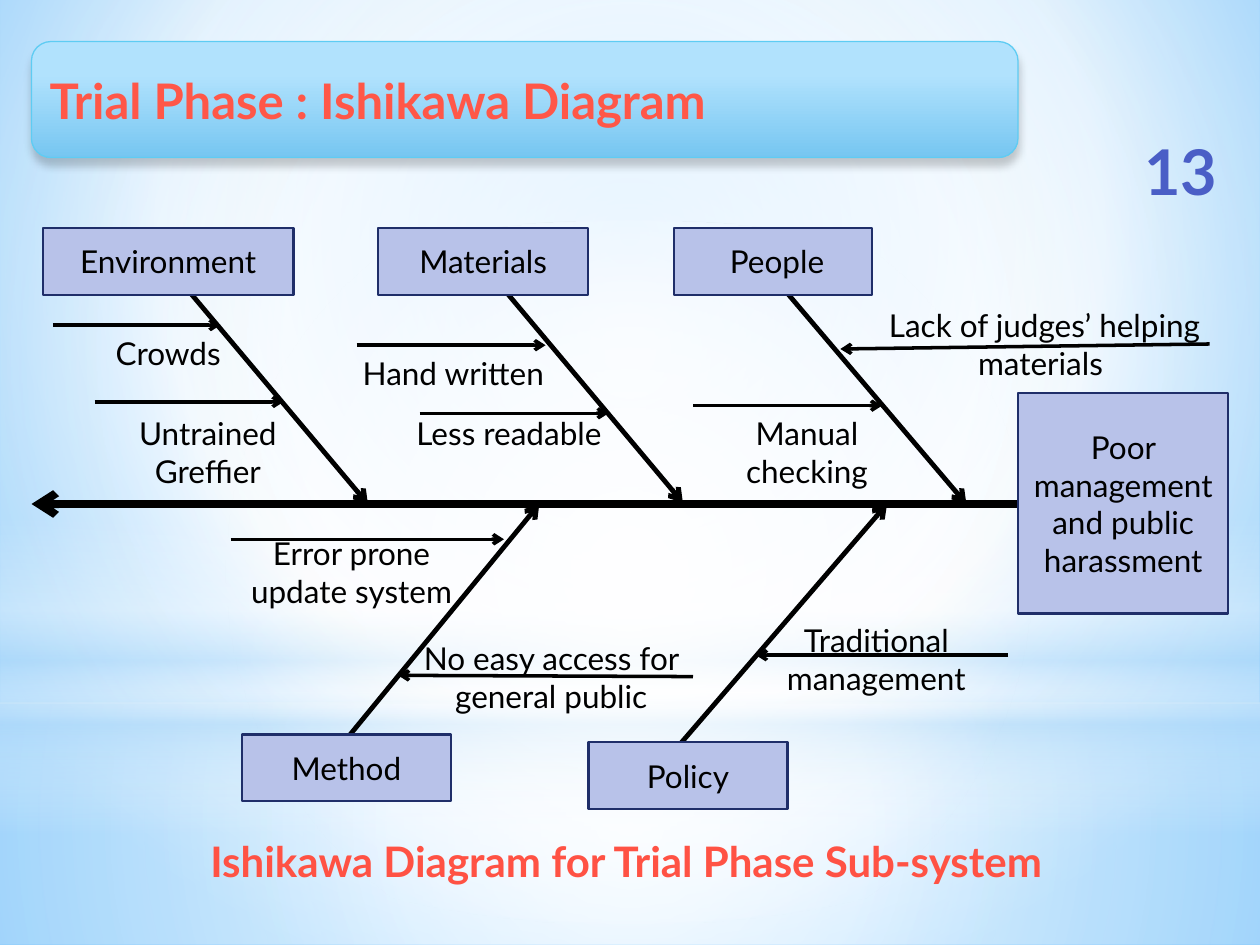
"""Build the Ishikawa diagram slide for the trial phase."""
from lxml import etree
from pptx import Presentation, util as u
from pptx.dml.color import RGBColor
from pptx.enum import shapes, text
from pptx.oxml.ns import qn

BLACK = "000000"
SKY = "B4DCFA"
WHITE = "FFFFFF"
CENTRE = (50, 50, 50, 50)
Preset = shapes.MSO_SHAPE


def write(words, at, preset=None, fill=None, line=None, width=1.25, size=18, color=BLACK,
          bold=False, align=text.PP_ALIGN.CENTER, anchor=text.MSO_ANCHOR.TOP, wrap=True):
    place = [u.Inches(value) for value in at]
    if preset is None:
        part = slide.shapes.add_textbox(*place)
    else:
        part = slide.shapes.add_shape(preset, *place)
        part.shadow.inherit = False
        part.fill.solid()
        if fill:
            part.fill.fore_color.rgb = RGBColor.from_string(fill)
        if line:
            part.line.color.rgb = RGBColor.from_string(line)
            part.line.width = u.Pt(width)
        else:
            part.line.fill.background()
    frame = part.text_frame
    frame.word_wrap = wrap
    frame.vertical_anchor = anchor
    if words:
        frame.text = words
    for paragraph in frame.paragraphs:
        paragraph.alignment = align
        for run in paragraph.runs:
            run.font.name = "Lato"
            run.font.size = u.Pt(size)
            run.font.bold = bold
            run.font.color.rgb = RGBColor.from_string(color)
    return part


def gradient(properties, stops, focus=None):
    blend = etree.Element(qn("a:gradFill"), rotWithShape="1")
    stop_list = etree.SubElement(blend, qn("a:gsLst"))
    for position, color, opacity in stops:
        stop = etree.SubElement(stop_list, qn("a:gs"), pos=str(position * 1000))
        tint = etree.SubElement(stop, qn("a:srgbClr"), val=color)
        if opacity < 100:
            etree.SubElement(tint, qn("a:alpha"), val=str(opacity * 1000))
    if focus:
        circle = etree.SubElement(blend, qn("a:path"))
        circle.set("path", "circle")
        edges = {side: str(value * 1000) for side, value in zip("ltrb", focus)}
        etree.SubElement(circle, qn("a:fillToRect"), **edges)
    else:
        etree.SubElement(blend, qn("a:lin"), ang="5400000", scaled="0")
    properties.replace(properties.find(qn("a:solidFill")), blend)


deck = Presentation()
deck.slide_width, deck.slide_height = u.Inches(10), u.Inches(7.5)
slide = deck.slides.add_slide(deck.slide_layouts[6])

slide.background.fill.solid()
gradient(slide.element.find(".//" + qn("p:bgPr")),
         [(0, "9ED5FF", 100), (60, WHITE, 100), (100, "5BB9FF", 100)], (20, 10, 20, 60))

glows = [
    (Preset.RECTANGLE, (0, 5.58, 10, 1.92), [(0, WHITE, 91), (37, WHITE, 76), (100, SKY, 79)], CENTRE),
    (Preset.RECTANGLE, (0, 0, 10, 5.58), [(0, WHITE, 89), (48, WHITE, 62), (100, SKY, 79)], CENTRE),
    (Preset.RECTANGLE, (0, 4.12, 10, 2.5),
     [(0, WHITE, 0), (29, WHITE, 30), (45, SKY, 40), (55, WHITE, 26), (65, SKY, 60), (100, WHITE, 0)], None),
    (Preset.OVAL, (0, 1.75, 10, 5.58), [(0, WHITE, 100), (56, WHITE, 0)], CENTRE),
]
for preset, at, stops, focus in glows:
    glow = write("", at, preset)
    gradient(glow.element.spPr, stops, focus)

spine = [(0.49, 4, 8.57, 4, 4.5, False), (0.67, 4, 0.25, 4, 4.5, True)]
ribs = [(*ends, 2.75, True) for ends in (
    (5.92, 1.94, 7.67, 4), (3.7, 1.94, 5.42, 3.99), (1.33, 2.11, 2.92, 4),
    (5.17, 6.17, 7.04, 4), (2.5, 6.17, 4.28, 4))]
twigs = [(*ends, 2, True) for ends in (
    (2.83, 2.74, 4.33, 2.74), (5.5, 3.22, 7, 3.22), (5.5, 5.37, 3.16, 5.36),
    (1.83, 4.28, 4, 4.28), (0.75, 3.19, 2.25, 3.19), (0.42, 2.58, 1.75, 2.58),
    (3.33, 3.28, 4.83, 3.28), (9.6, 2.73, 6.67, 2.77), (8, 5.2, 6, 5.2))]
for x1, y1, x2, y2, weight, arrow in spine + ribs + twigs:
    bone = slide.shapes.add_connector(shapes.MSO_CONNECTOR.STRAIGHT,
                                      *[u.Inches(value) for value in (x1, y1, x2, y2)])
    bone.line.color.rgb = RGBColor.from_string(BLACK)
    bone.line.width = u.Pt(weight)
    if arrow:
        etree.SubElement(bone.line._get_or_add_ln(), qn("a:tailEnd"), type="arrow")
    etree.SubElement(bone.element.spPr, qn("a:effectLst"))

categories = [
    ("Poor management and public harassment", 8.08, 3.12, 1.67, 1.75),
    (" People", 5.35, 1.81, 1.57, 0.53),
    ("Materials", 3, 1.81, 1.67, 0.53),
    ("Environment", 0.34, 1.81, 1.99, 0.53),
    ("Policy", 4.67, 5.89, 1.58, 0.53),
    ("Method", 1.92, 5.83, 1.66, 0.53),
]
for words, *at in categories:
    write(words, at, Preset.RECTANGLE, fill="B8C2E9", line="1F2E69", anchor=text.MSO_ANCHOR.MIDDLE)

causes = [
    ("Hand written ", 2.67, 2.76, 1.92, 0.4),
    ("Lack of judges’ helping materials ", 6.75, 2.38, 3.08, 0.71),
    ("No easy access for general public", 3.25, 5.02, 2.25, 0.71),
    ("Error prone update system", 1.67, 4.19, 2.24, 0.71),
    ("Untrained\nGreffier", 0.88, 3.24, 1.54, 0.71),
    ("Crowds", 0.67, 2.6, 1.33, 0.4),
    ("Less readable", 3.08, 3.24, 1.92, 0.4),
    ("Manual checking", 5.74, 3.24, 1.33, 0.71),
    ("Traditional management", 6.08, 4.88, 1.75, 0.71),
]
for words, *at in causes:
    write(words, at)

title = write("Trial Phase : Ishikawa Diagram ", (0.25, 0.33, 7.83, 0.92), Preset.ROUNDED_RECTANGLE,
              line="5ECCF3", width=0.75, size=28, color="FF5748", bold=True,
              align=text.PP_ALIGN.LEFT, anchor=text.MSO_ANCHOR.MIDDLE)
gradient(title.element.spPr, [(28, "B1E2FD", 100), (100, "76C6F1", 100)])
shadow = etree.SubElement(title.element.spPr.find(qn("a:effectLst")), qn("a:outerShdw"),
                          blurRad=str(u.Pt(5)), dist=str(u.Pt(4)), dir="5400000", rotWithShape="0")
shade = etree.SubElement(shadow, qn("a:srgbClr"), val=BLACK)
etree.SubElement(shade, qn("a:alpha"), val="20000")

write("13", (8.88, 1.08, 0.98, 0.54), size=36, color="4A5EC6", bold=True, anchor=text.MSO_ANCHOR.MIDDLE)
write("Ishikawa Diagram for Trial Phase Sub-system", (1.4, 6.58, 7.14, 0.5),
      size=24, color="FF5244", bold=True, wrap=False)

deck.save("out.pptx")
